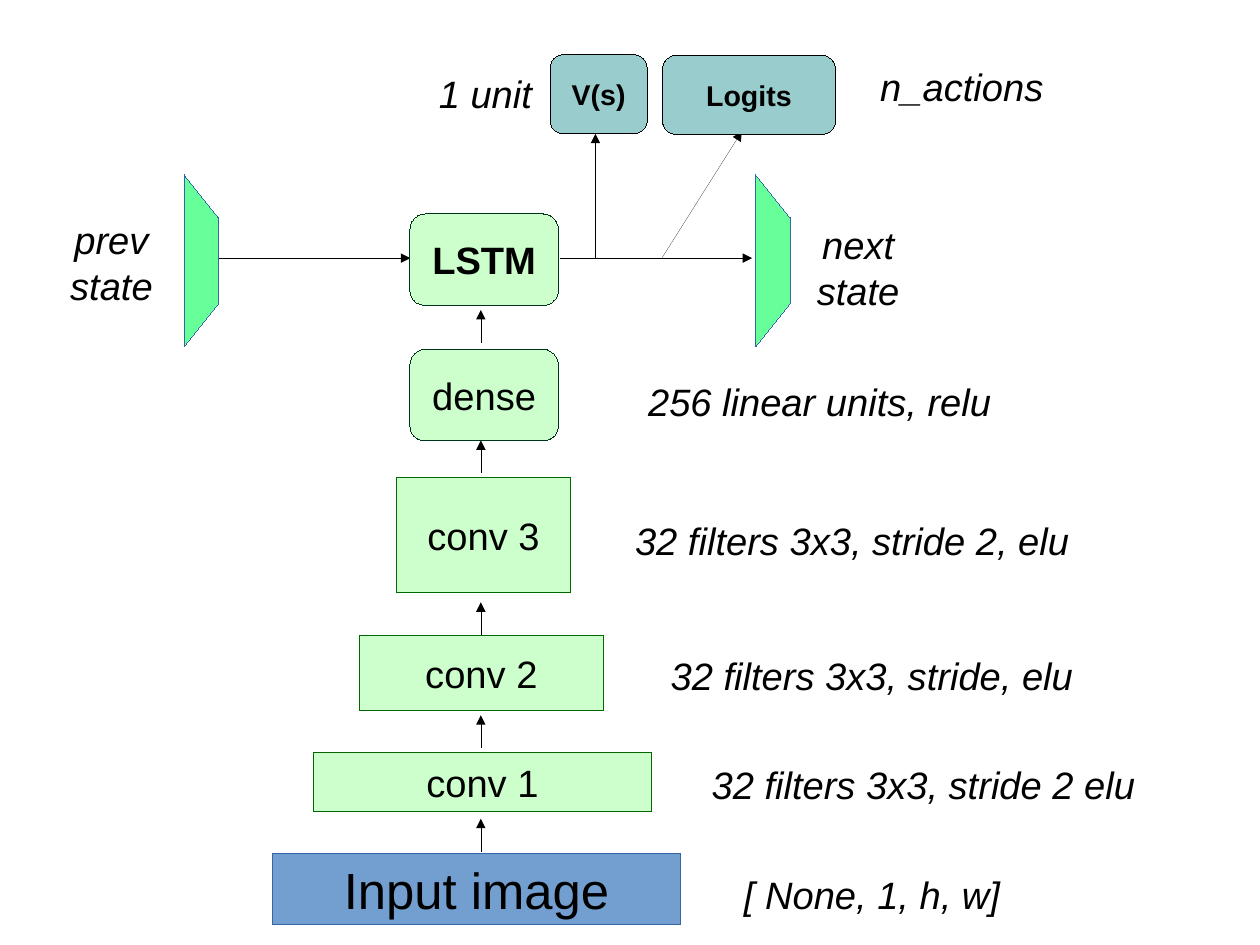
from typing import NamedTuple

from lxml.etree import SubElement
from pptx import Presentation
from pptx.dml.color import RGBColor
from pptx.enum.shapes import MSO_CONNECTOR, MSO_SHAPE
from pptx.enum.text import MSO_ANCHOR, PP_ALIGN
from pptx.oxml.ns import qn
from pptx.util import Pt

RECT, ROUND = MSO_SHAPE.RECTANGLE, MSO_SHAPE.ROUNDED_RECTANGLE
LEFT, CENTER = PP_ALIGN.LEFT, PP_ALIGN.CENTER
BLACK = "000000"
GREEN, DARK_GREEN, DEEP_GREEN = "CCFFCC", "006600", "00331A"
TEAL, MINT = "99CCCC", "66FF99"
BLUE, DARK_BLUE = "729FCF", "3465A4"


class Layer(NamedTuple):
    text: str
    left: float
    top: float
    width: float
    height: float
    kind: MSO_SHAPE = RECT
    fill: str = GREEN
    line: str = DARK_GREEN
    size: float = 24
    bold: bool = False


class Label(NamedTuple):
    text: str
    left: float
    top: float
    width: float
    height: float = 60.5
    align: PP_ALIGN = LEFT


class Arrow(NamedTuple):
    x1: float
    y1: float
    x2: float
    y2: float


LAYERS = [
    Layer("Input image", 171.8, 537.6, 257, 44.6, fill=BLUE, line=DARK_BLUE, size=32),
    Layer("conv 1", 197.4, 474, 213, 37.2),
    Layer("conv 2", 226.2, 400.2, 154, 47.6),
    Layer("conv 3", 249.8, 301, 109.6, 72.4),
    Layer("dense", 258.2, 220.1, 93.6, 57.6, ROUND, line=DEEP_GREEN),
    Layer("LSTM", 258.2, 134.8, 93.6, 57.6, ROUND, line=DEEP_GREEN, bold=True),
    Layer("V(s)", 346.5, 34.4, 61.2, 49.7, ROUND, TEAL, BLACK, 18, True),
    Layer("Logits", 417.4, 34.9, 108.9, 49.7, ROUND, TEAL, BLACK, 18, True),
]

LABELS = [
    Label("1 unit", 247.5, 41, 116.6, 33.8, CENTER),
    Label("n_actions", 469.4, 36.4, 272.9, align=CENTER),
    Label("prev\vstate", 18, 133, 104.4, align=CENTER),
    Label("next\vstate", 404.1, 136.1, 272.9, align=CENTER),
    Label("256 linear units, relu", 401.2, 234.7, 272.9),
    Label("32 filters 3x3, stride 2, elu", 393, 322.6, 338.4),
    Label("32 filters 3x3, stride, elu", 415.4, 407.5, 272.9),
    Label("32 filters 3x3, stride 2 elu", 441.2, 475.9, 336.2),
    Label("[ None, 1, h, w]", 461.5, 545.5, 175.7, 33.8, CENTER),
]

STACK_X, STACK_STEP = 302.9, 20.7
STACK_STARTS = [536.4, 471.2, 400.1, 298.1, 216]
STATE_Y = 162.6
ARROWS = [Arrow(STACK_X, y, STACK_X, y - STACK_STEP) for y in STACK_STARTS] + [
    Arrow(137.5, STATE_Y, 258.5, STATE_Y),
    Arrow(352.8, STATE_Y, 473.8, STATE_Y),
    Arrow(375.1, STATE_Y, 375.1, 84.2),
    Arrow(416.9, STATE_Y, 467.3, 82.8),
]

STATE_LEFTS = [116.1, 476.1]


def rgb(color: str) -> RGBColor:
    return RGBColor.from_string(color)


def hairline(line, color: str):
    """Give the line zero width, written out so the theme width does not apply."""
    line.color.rgb = rgb(color)
    ln = line._get_or_add_ln()
    ln.set("w", "0")
    return ln


def paint(shape, fill: str, line: str) -> None:
    shape.shadow.inherit = False
    shape.fill.solid()
    shape.fill.fore_color.rgb = rgb(fill)
    hairline(shape.line, line)


def write(tf, text: str, size: float, align: PP_ALIGN,
          bold: bool = False, italic: bool = False) -> None:
    p = tf.paragraphs[0]
    p.text = text
    p.alignment = align
    for r in p.runs:
        r.font.name, r.font.size = "Arial", Pt(size)
        r.font.bold, r.font.italic = bold, italic
        r.font.color.rgb = rgb(BLACK)


def add_layer(s, layer: Layer) -> None:
    box = map(Pt, (layer.left, layer.top, layer.width, layer.height))
    sp = s.shapes.add_shape(layer.kind, *box)
    paint(sp, layer.fill, layer.line)
    tf = sp.text_frame
    tf.word_wrap = False
    tf.vertical_anchor = MSO_ANCHOR.MIDDLE
    write(tf, layer.text, layer.size, CENTER, bold=layer.bold)


def add_label(s, label: Label) -> None:
    box = map(Pt, (label.left, label.top, label.width, label.height))
    tf = s.shapes.add_textbox(*box).text_frame
    tf.word_wrap = True
    write(tf, label.text, 24, label.align, italic=True)


def add_arrow(s, arrow: Arrow) -> None:
    connector = s.shapes.add_connector(MSO_CONNECTOR.STRAIGHT, *map(Pt, arrow))
    ln = hairline(connector.line, BLACK)
    SubElement(ln, qn("a:tailEnd"), type="triangle")
    SubElement(connector._element.spPr, qn("a:effectLst"))


def add_state(s, left: float) -> None:
    """Draw a trapezoid lying on its side, with the long edge on the left."""
    top, bottom, depth, slope = 110.2, 218.2, 21.6, 27
    right = left + depth
    builder = s.shapes.build_freeform(Pt(left), Pt(bottom))
    corners = [(left, top), (right, top + slope), (right, bottom - slope)]
    builder.add_line_segments([(Pt(x), Pt(y)) for x, y in corners], close=True)
    paint(builder.convert_to_shape(), MINT, DARK_BLUE)


def main() -> None:
    prs = Presentation()
    prs.slide_width, prs.slide_height = Pt(793.7), Pt(595.25)
    s = prs.slides.add_slide(prs.slide_layouts[6])
    for arrow in ARROWS:
        add_arrow(s, arrow)
    for left in STATE_LEFTS:
        add_state(s, left)
    for layer in LAYERS:
        add_layer(s, layer)
    for label in LABELS:
        add_label(s, label)
    prs.save("out.pptx")


if __name__ == "__main__":
    main()
